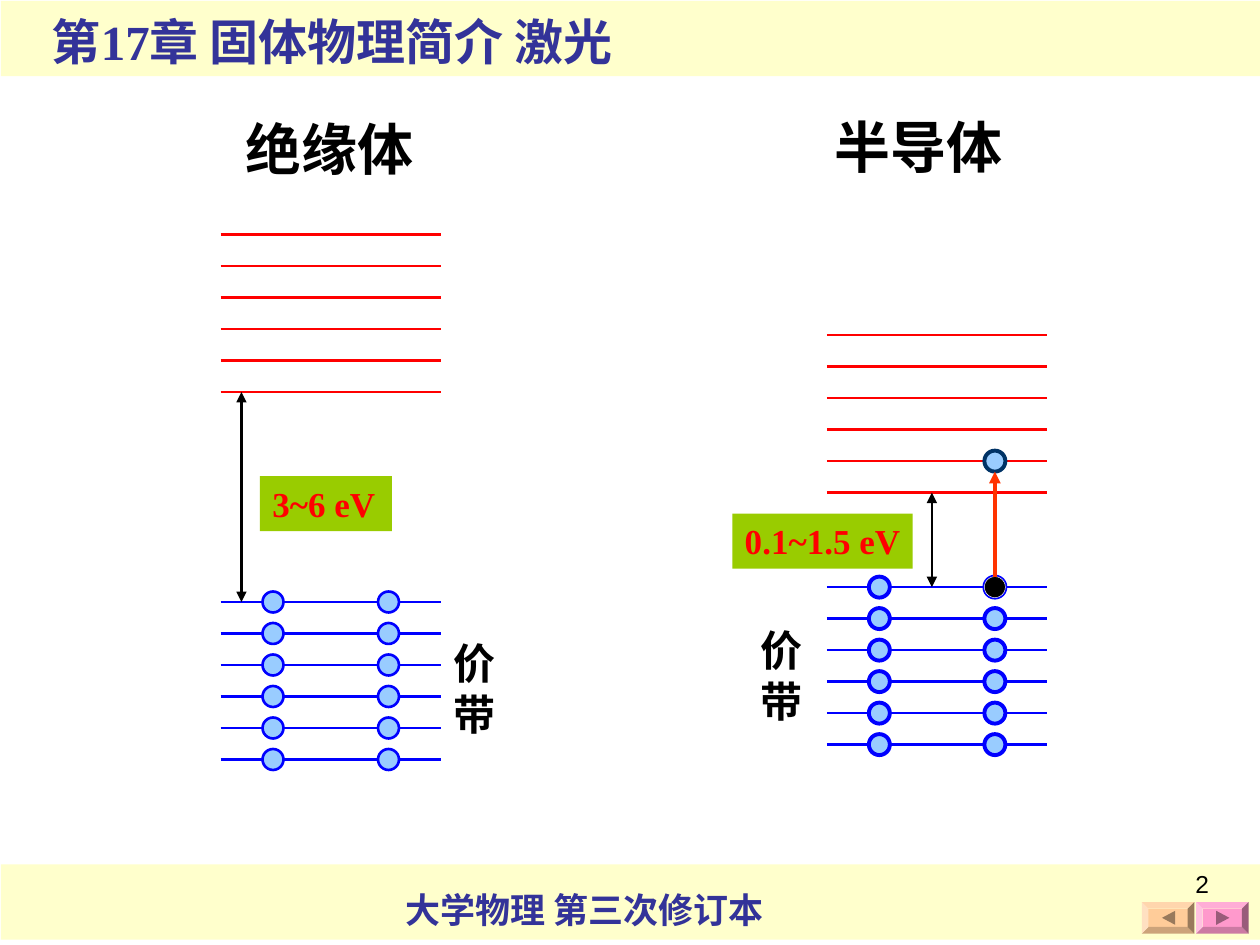
from lxml import etree
from pptx import Presentation
from pptx.dml.color import RGBColor
from pptx.enum.shapes import MSO_CONNECTOR, MSO_SHAPE as Kind
from pptx.enum.text import MSO_ANCHOR, MSO_AUTO_SIZE, PP_ALIGN as Align
from pptx.oxml.ns import qn
from pptx.util import Pt

rgb = RGBColor.from_string
PALE, NAVY, BLACK, WHITE = "FFFFCC", "333399", "000000", "FFFFFF"
RED, BLUE, SKY, GREEN = "FF0000", "0000FF", "99CCFF", "99CC00"
LEVELS, SPACING, LEVEL_WIDTH = 6, 18, 126
ELECTRON_OFFSETS, ELECTRON = (96, 30), 12

prs = Presentation()
prs.slide_width, prs.slide_height = Pt(720), Pt(540)
slide = prs.slides.add_slide(prs.slide_layouts[5])
shapes = slide.shapes


def add_filled(kind, box, fill, outline=None, width=0):
    """Add a preset shape with flat colours; box is left, top, width, height."""
    shape = shapes.add_shape(kind, *map(Pt, box))
    shape.shadow.inherit = False
    shape.fill.solid()
    shape.fill.fore_color.rgb = rgb(fill)
    if outline:
        shape.line.color.rgb = rgb(outline)
        shape.line.width = Pt(width)
    else:
        shape.line.fill.background()
    return shape


def add_line(start, end, color, width=1.5, arrow_ends=()):
    """Add a straight line; arrow_ends may hold headEnd and tailEnd."""
    line = shapes.add_connector(MSO_CONNECTOR.STRAIGHT, *map(Pt, start + end))
    line.line.color.rgb = rgb(color)
    line.line.width = Pt(width)
    for arrow_end in arrow_ends:
        etree.SubElement(line.line._get_or_add_ln(), qn("a:" + arrow_end), type="triangle")
    etree.SubElement(line.element.spPr, qn("a:effectLst"))


# Header and footer bands, with the title above them
for band_top in (494, 0.5):
    band = add_filled(Kind.RECTANGLE, (0.5, band_top, 719.5, 43), PALE)
title = shapes.title
band.element.addnext(title.element)

# Navigation buttons: left edge, face, arrow colour, arrow base and tip
for button_left, face, arrow_color, base, tip in (
    (683.5, "FF99CC", "995C7A", 11.5, 19),
    (652.5, "FFCC99", "997A5C", 19, 11.5),
):
    button = add_filled(Kind.BEVEL, (button_left, 515.5, 30, 18), face)
    button.adjustments[0] = 0.21
    outline = shapes.build_freeform(Pt(button_left + base), Pt(520.5))
    outline.add_line_segments(
        [(Pt(button_left + tip), Pt(524.5)), (Pt(button_left + base), Pt(528.5))]
    )
    arrow = outline.convert_to_shape()
    arrow.shadow.inherit = False
    arrow.fill.solid()
    arrow.fill.fore_color.rgb = rgb(arrow_color)
    arrow.line.fill.background()

# Energy levels: left edge, top of the empty band, top of the valence band,
# offset of the gap arrow, outline width of the electrons
for left, empty_top, valence_top, gap_offset, ring in (
    (472.5, 191.5, 335.5, 60, 2.25),
    (126, 134, 344, 12, 1.5),
):
    right = left + LEVEL_WIDTH
    for level in range(LEVELS):
        y = empty_top + level * SPACING
        add_line((left, y), (right, y), RED)
    gap_top = y
    for level in range(LEVELS):
        y = valence_top + level * SPACING
        add_line((left, y), (right, y), BLUE)
        for offset in ELECTRON_OFFSETS:
            corner = (left + offset - ELECTRON / 2, y - ELECTRON / 2)
            add_filled(Kind.OVAL, corner + (ELECTRON, ELECTRON), SKY, BLUE, ring)
    gap_x = left + gap_offset
    add_line((gap_x, gap_top), (gap_x, valence_top), BLACK, arrow_ends=("headEnd", "tailEnd"))

# Electron excited from the valence band of the semiconductor, leaving a hole
excited_x, hole_y, excited_y = 568.5, 335.5, 263.5
for y, fill, ring_color, ring in (
    (hole_y, BLACK, WHITE, 0.25),
    (excited_y, SKY, "003366", 2.25),
):
    corner = (excited_x - ELECTRON / 2, y - ELECTRON / 2)
    add_filled(Kind.OVAL, corner + (ELECTRON, ELECTRON), fill, ring_color, ring)
add_line(
    (excited_x, hole_y - ELECTRON / 2), (excited_x, excited_y + ELECTRON / 2),
    "FF3300", 2.25, ("tailEnd",),
)

# All wording: text, box, size, colour, wrap, background
serif = {"name": "Times New Roman", "bold": True}
plain = {"name": "Arial", "bold": False}
for text, box, size, color, wrap, background, style, align in (
    ("第17章 固体物理简介 激光", (22.5, 3, 363, 41), 28, NAVY, False, None, serif, Align.LEFT),
    ("大学物理 第三次修订本", (224.5, 504, 225, 31.5), 20, NAVY, False, None, serif, Align.LEFT),
    ("绝缘体", (133, 62, 110, 46), 32, BLACK, False, None, serif, Align.LEFT),
    ("半导体", (470, 60.5, 110, 46), 32, BLACK, False, None, serif, Align.LEFT),
    ("价带", (252, 361, 46, 65), 24, BLACK, True, None, serif, Align.LEFT),
    ("价带", (427.5, 353.5, 46, 65), 24, BLACK, True, None, serif, Align.LEFT),
    ("3~6 eV", (148.5, 272, 75.5, 31.5), 20, RED, True, GREEN, serif, Align.LEFT),
    ("0.1~1.5 eV", (418.5, 293.5, 103, 31.5), 20, RED, False, GREEN, serif, Align.LEFT),
    ("2", (530, 493, 168, 37.5), 14, BLACK, True, None, plain, Align.RIGHT),
):
    if text.startswith("第17章"):
        holder = title
        for side, length in zip(("left", "top", "width", "height"), box):
            setattr(holder, side, Pt(length))
    else:
        holder = shapes.add_textbox(*map(Pt, box))
    if background:
        holder.fill.solid()
        holder.fill.fore_color.rgb = rgb(background)
    frame = holder.text_frame
    frame.text = text
    frame_format = {
        "word_wrap": wrap,
        "auto_size": MSO_AUTO_SIZE.NONE,
        "vertical_anchor": MSO_ANCHOR.TOP,
    }
    for name, value in frame_format.items():
        setattr(frame, name, value)
    paragraph = frame.paragraphs[0]
    paragraph.alignment = align
    font = paragraph.runs[0].font
    for name, value in {**style, "size": Pt(size)}.items():
        setattr(font, name, value)
    font.color.rgb = rgb(color)

prs.save("out.pptx")
